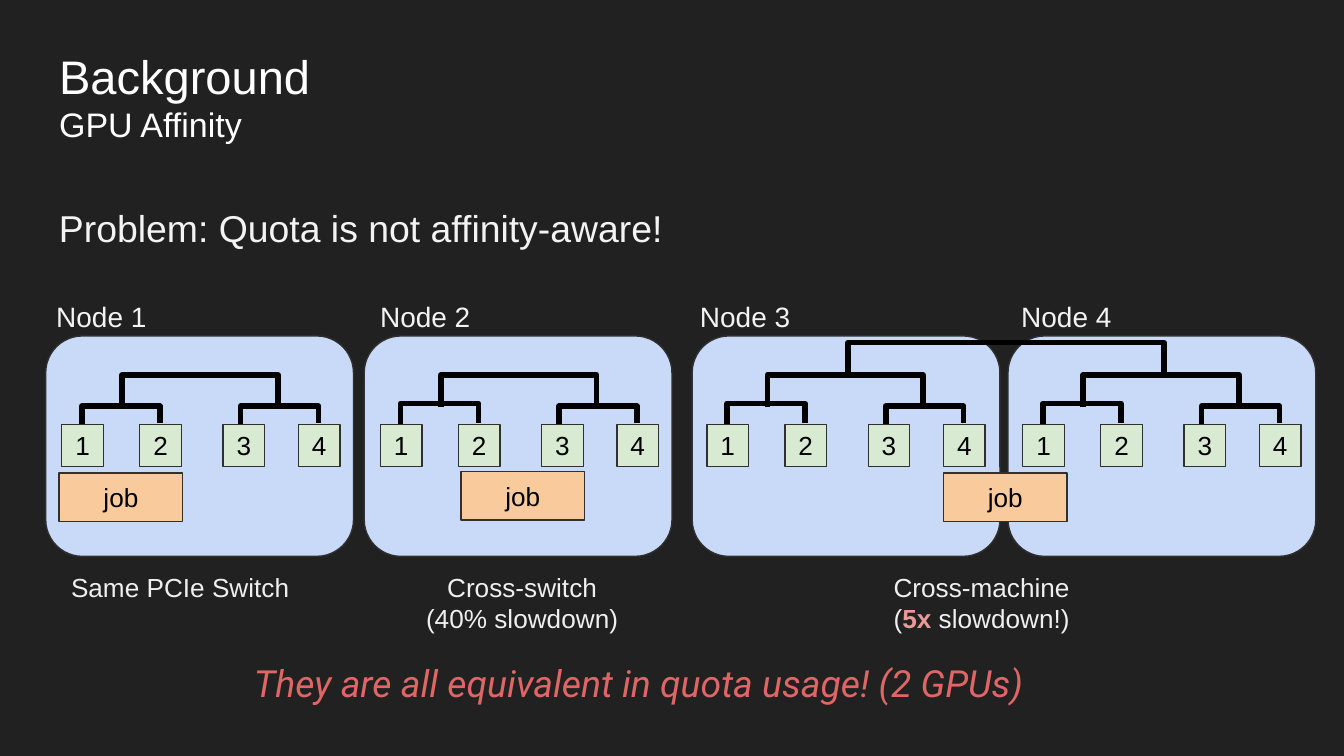
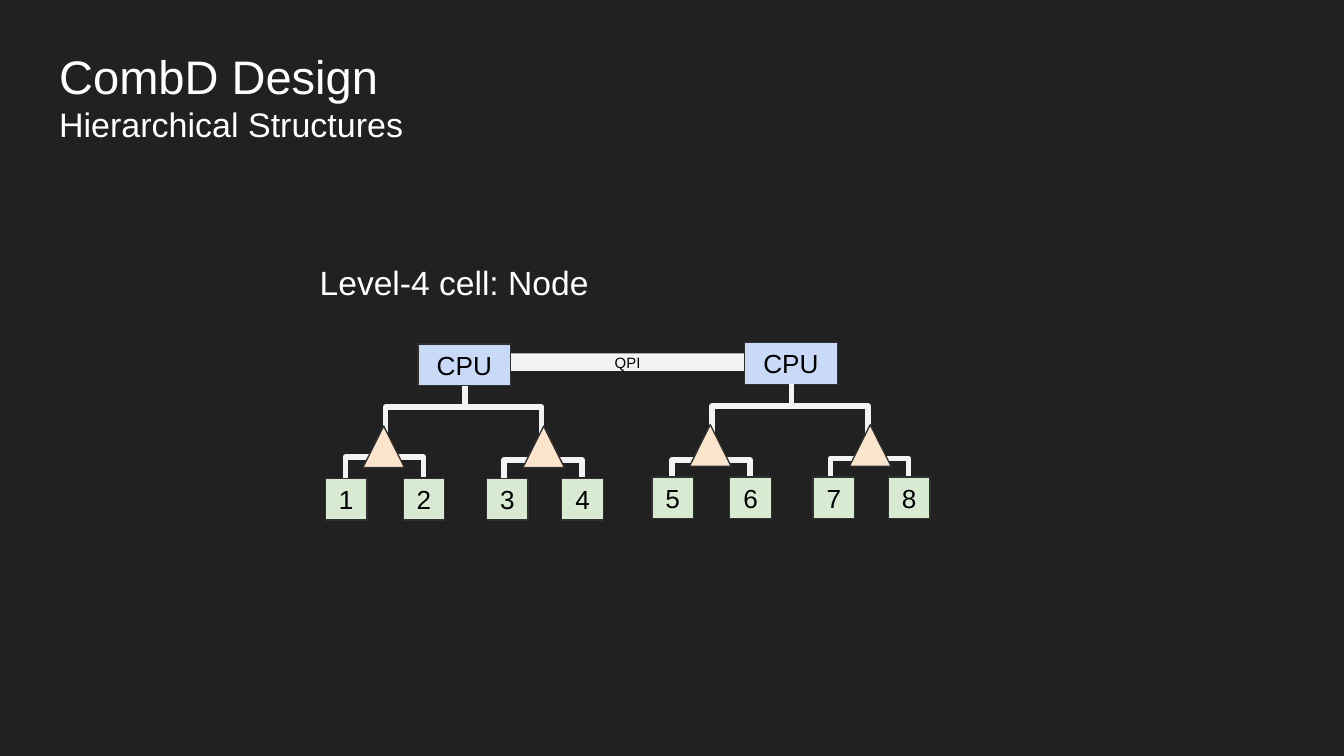
from lxml import etree
from pptx import Presentation
from pptx.dml.color import RGBColor
from pptx.enum.shapes import MSO_CONNECTOR, MSO_SHAPE
from pptx.enum.text import MSO_ANCHOR, MSO_AUTO_SIZE, PP_ALIGN
from pptx.oxml.ns import qn
from pptx.util import Inches, Pt

RECTANGLE, ROUNDED, TRIANGLE = MSO_SHAPE.RECTANGLE, MSO_SHAPE.ROUNDED_RECTANGLE, MSO_SHAPE.ISOSCELES_TRIANGLE
STRAIGHT, ELBOW = MSO_CONNECTOR.STRAIGHT, MSO_CONNECTOR.ELBOW
TOP, MIDDLE = MSO_ANCHOR.TOP, MSO_ANCHOR.MIDDLE
LEFT, CENTER = PP_ALIGN.LEFT, PP_ALIGN.CENTER
NO_FIT = MSO_AUTO_SIZE.NONE

DARK, WHITE, BLACK = "212121", "FFFFFF", "000000"
PALE, SOFT, OUTLINE = "F3F3F3", "EFEFEF", "303030"
BLUE, GREEN, ORANGE, PEACH = "C9DAF8", "D9EAD3", "F9CB9C", "FCE5CD"
RED, PINK = "E06666", "EA9999"

GPU_SIZE = 0.31
GPU_OFFSETS = (0, 0.58, 1.2, 1.76)
SWITCH_OFFSETS = (0.28, 1.47)
TRUNK_LEFT, TRUNK_WIDTH, TRUNK_HEIGHT = 0.45, 1.16, 0.24
PAIR_LEFTS, PAIR_WIDTH, PAIR_STEP = (0.15, 1.33), 0.58, 0.01


def color(value):
    return RGBColor.from_string(value)


def write(frame, lines, size, ink, align=LEFT, anchor=TOP, font="Arial", inset=0.1):
    frame.word_wrap = True
    frame.auto_size = NO_FIT
    frame.vertical_anchor = anchor
    frame.margin_left = frame.margin_right = Inches(inset)
    frame.margin_top = frame.margin_bottom = Inches(inset)
    frame.text = "\n".join(lines)
    for para in frame.paragraphs:
        para.alignment = align
        para.font.size = Pt(size)
        para.font.name = font
        para.font.color.rgb = color(ink)
    return frame


def add_text(page, box, lines, size, ink, **style):
    label = page.shapes.add_textbox(*map(Inches, box))
    return write(label.text_frame, lines, size, ink, **style)


def add_box(page, kind, box, fill, text="", size=14, outline=OUTLINE):
    shape = page.shapes.add_shape(kind, *map(Inches, box))
    shape.shadow.inherit = False
    shape.fill.solid()
    shape.fill.fore_color.rgb = color(fill)
    if outline:
        shape.line.color.rgb = color(outline)
        shape.line.width = Pt(0.75)
    else:
        shape.line.fill.background()
    if text:
        write(shape.text_frame, [text], size, BLACK, CENTER, MIDDLE, inset=0)


def add_line(page, kind, start, end, ink):
    line = page.shapes.add_connector(kind, *map(Inches, (*start, *end)))
    line.line.color.rgb = color(ink)
    line.line.width = Pt(3)
    properties = line._element.spPr
    etree.SubElement(properties, qn("a:effectLst"))
    return properties


def add_pair_link(page, left, base, rise, ink):
    properties = add_line(page, ELBOW, (left, base), (left + PAIR_WIDTH, base - PAIR_STEP), ink)
    geometry = properties.find(qn("a:prstGeom"))
    geometry.set("prst", "bentConnector4")
    guides = geometry.find(qn("a:avLst"))
    for name, ratio in (("adj1", 0), ("adj2", rise / PAIR_STEP)):
        guide = etree.SubElement(guides, qn("a:gd"))
        guide.set("name", name)
        guide.set("fmla", f"val {round(ratio * 100000)}")


def add_bracket(page, left, top, width, ink):
    right, bottom = left + width, top + TRUNK_HEIGHT
    builder = page.shapes.build_freeform(Inches(left), Inches(bottom))
    corners = ((left, top), (right, top), (right, bottom))
    builder.add_line_segments([(Inches(x), Inches(y)) for x, y in corners], close=False)
    bracket = builder.convert_to_shape()
    bracket.shadow.inherit = False
    bracket.fill.background()
    bracket.line.color.rgb = color(ink)
    bracket.line.width = Pt(3)


def add_gpu_tree(page, left, top, labels, trunk_rise, pair_rises, ink):
    for offset, rise in zip(PAIR_LEFTS, pair_rises):
        add_pair_link(page, left + offset, top, rise, ink)
    add_bracket(page, left + TRUNK_LEFT, top - trunk_rise, TRUNK_WIDTH, ink)
    for offset, label in zip(GPU_OFFSETS, labels):
        add_box(page, RECTANGLE, (left + offset, top, GPU_SIZE, GPU_SIZE), GREEN, label)


def add_page(deck, title, subtitle):
    page = deck.slides.add_slide(deck.slide_layouts[5])
    page.background.fill.solid()
    page.background.fill.fore_color.rgb = color(DARK)
    heading = page.shapes.title
    heading.left, heading.top, heading.width, heading.height = map(Inches, (0.34, 0.25, 9.32, 0.95))
    frame = write(heading.text_frame, [title, subtitle], 25.2, WHITE)
    frame.paragraphs[1].font.size = Pt(18.2)
    return page


def add_node(page, left, tree_left, left_rise):
    top = 2.5
    add_box(page, ROUNDED, (left, top, 2.29, 1.64), BLUE)
    add_gpu_tree(page, tree_left, top + 0.66, "1234", 0.37, (left_rise, 0.14), BLACK)


def add_captions(page, top):
    add_text(page, (0.43, top, 2.11, 0.44), ["Same PCIe Switch"], 14, SOFT)
    add_text(page, (2.83, top, 2.11, 0.67), ["Cross-switch", "(40% slowdown)"], 14, SOFT, align=CENTER)
    frame = add_text(page, (6.55, top, 2.11, 0.67), ["Cross-machine", "("], 14, SOFT)
    para = frame.paragraphs[1]
    factor = para.add_run()
    factor.text = "5x"
    factor.font.bold = True
    factor.font.color.rgb = color(PINK)
    para.add_run().text = " slowdown!)"


def build_affinity_page(deck):
    page = add_page(deck, "Background", "GPU Affinity")
    problem = add_text(page, (0.34, 1.38, 9.32, 3.61), ["Problem: Quota is not affinity-aware!"], 20, PALE)
    problem.paragraphs[0].line_spacing = 1.15
    nodes = (
        (0.34, 0.46, 0.32, 0.14),
        (2.71, 2.83, 2.73, 0.16),
        (5.15, 5.26, 5.11, 0.16),
        (7.5, 7.61, 7.5, 0.16),
    )
    for number, (left, tree_left, label_left, left_rise) in enumerate(nodes, 1):
        add_node(page, left, tree_left, left_rise)
        add_text(page, (label_left, 2.13, 1.16, 0.45), [f"Node {number}"], 15, PALE)
    for left, top in ((0.44, 3.52), (3.43, 3.51), (7.02, 3.52)):
        add_box(page, RECTANGLE, (left, top, 0.92, 0.36), ORANGE, "job")
    add_captions(page, 4.15)
    add_bracket(page, 6.31, 2.55, 2.35, BLACK)
    verdict = add_text(page, (1.79, 4.81, 6.69, 0.54),
                       ["They are all equivalent in quota usage! (2 GPUs)"], 20, RED, font="Roboto")
    verdict.paragraphs[0].font.italic = True


def add_cpu_tree(page, left, top, labels, pair_rises):
    add_gpu_tree(page, left, top + 1, labels, 0.53, pair_rises, PALE)
    for offset in SWITCH_OFFSETS:
        add_box(page, TRIANGLE, (left + offset, top + 0.61, GPU_SIZE, GPU_SIZE), PEACH)
    add_box(page, RECTANGLE, (left + 0.69, top, 0.69, 0.31), BLUE, "CPU")
    stem = left + 1.04
    add_line(page, STRAIGHT, (stem, top + 0.31), (stem, top + 0.46), PALE)


def build_hierarchy_page(deck):
    page = add_page(deck, "CombD Design", "Hierarchical Structures")
    add_box(page, RECTANGLE, (3.75, 2.63, 1.84, 0.13), PALE, "QPI", 8, outline=None)
    add_cpu_tree(page, 2.42, 2.56, "1234", (0.16, 0.14))
    add_cpu_tree(page, 4.85, 2.55, "5678", (0.13, 0.14))
    add_text(page, (2.28, 1.85, 3.31, 0.5), ["Level-4 cell: Node"], 18, WHITE)


def main():
    deck = Presentation()
    deck.slide_width = Inches(10)
    deck.slide_height = deck.slide_width * 9 // 16
    build_affinity_page(deck)
    build_hierarchy_page(deck)
    deck.save("out.pptx")


if __name__ == "__main__":
    main()
